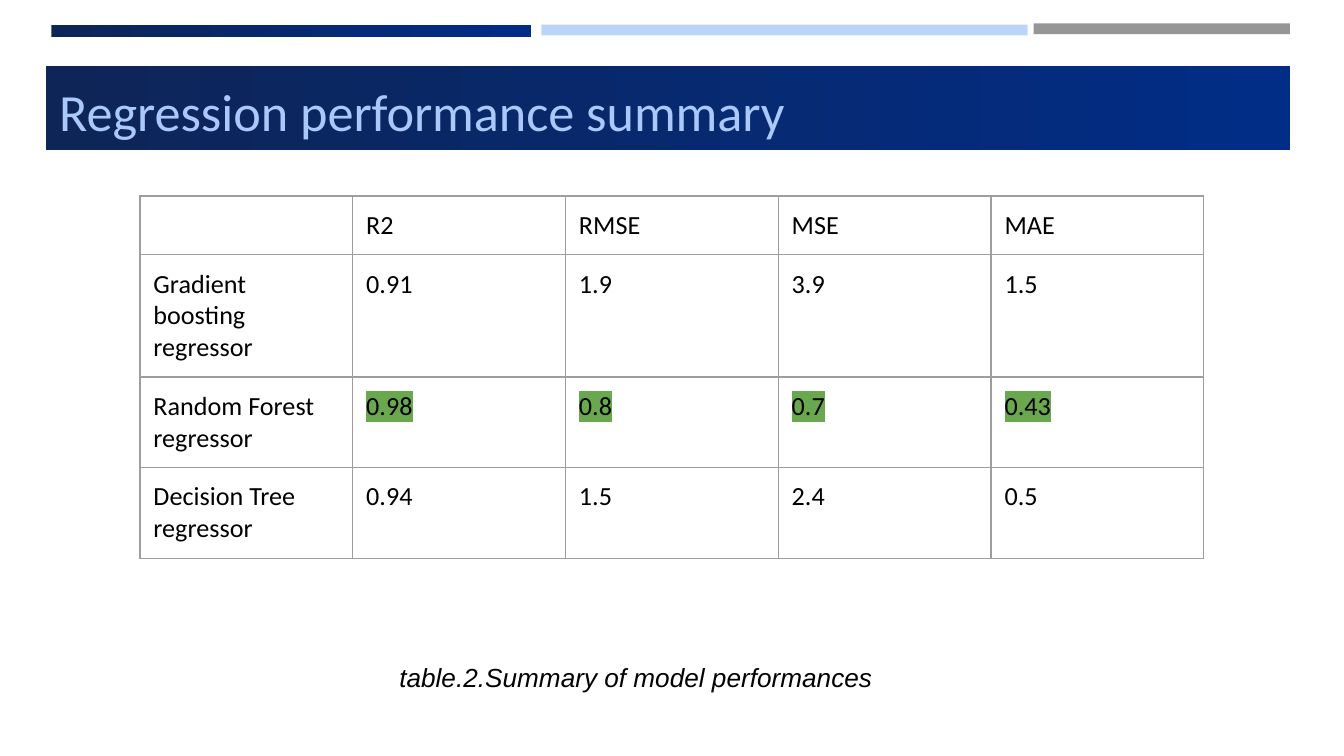
from lxml import etree
from pptx import Presentation
from pptx.dml.color import RGBColor
from pptx.enum.shapes import MSO_SHAPE
from pptx.enum.text import MSO_ANCHOR, MSO_AUTO_SIZE, PP_ALIGN
from pptx.oxml.ns import qn
from pptx.util import Pt

RECT = MSO_SHAPE.RECTANGLE
TOP = MSO_ANCHOR.TOP
NO_FIT = MSO_AUTO_SIZE.NONE
LEFT, CENTER = PP_ALIGN.LEFT, PP_ALIGN.CENTER

TITLE = "Regression performance summary"
CAPTION = "table.2.Summary of model performances"
SCORES = [
    ["", "R2", "RMSE", "MSE", "MAE"],
    ["Gradient boosting regressor", "0.91", "1.9", "3.9", "1.5"],
    ["Random Forest regressor", "0.98", "0.8", "0.7", "0.43"],
    ["Decision Tree regressor", "0.94", "1.5", "2.4", "0.5"],
]
BEST_ROW = 2
NAVY = ("0E2557", "012D86")
BARS = [
    ((27.5, 13.25, 257, 6.5), NAVY, 100),
    ((290, 13.25, 260.5, 5.75), "8EB6F8", 58),
    ((553.75, 12.5, 137.25, 5.75), "595959", 63),
]
TITLE_BOX = (24.5, 35.25, 666.75, 45)
TABLE_BOX = (75, 105, 570, 121)
CAPTION_BOX = (196.75, 347, 288, 31.5)
PAD = 7.2
TITLE_FONT = dict(name="Calibri", size=Pt(28), bold=False)
CELL_FONT = dict(name="Calibri", size=Pt(14), bold=False)
CAPTION_FONT = dict(name="Arial", size=Pt(14), italic=True)
FRAME = dict(word_wrap=True, auto_size=NO_FIT, vertical_anchor=TOP)
MARGINS = {f"margin_{side}": Pt(PAD) for side in ("left", "right", "top", "bottom")}


def rgb(value):
    return RGBColor.from_string(value)


def apply(target, values):
    for name, value in values.items():
        setattr(target, name, value)


def place(shape, box):
    apply(shape, dict(zip(("left", "top", "width", "height"), map(Pt, box))))


def paint(shape, color, opacity=100):
    if isinstance(color, tuple):
        shape.fill.gradient()
        shape.fill.gradient_angle = 0
        for stop, value in zip(shape.fill.gradient_stops, color):
            stop.color.rgb = rgb(value)
    else:
        shape.fill.solid()
        shape.fill.fore_color.rgb = rgb(color)
    if opacity < 100:
        tint = shape.fill._xPr.find(".//" + qn("a:srgbClr"))
        etree.SubElement(tint, qn("a:alpha"), val=str(opacity * 1000))
    shape.line.fill.background()
    shape.shadow.inherit = False


def write(tf, text, font, color, align=LEFT):
    p = tf.paragraphs[0]
    p.alignment = align
    if not text:
        p._p.get_or_add_endParaRPr().set("sz", str(int(font["size"].pt * 100)))
        return None
    r = p.add_run()
    r.text = text
    apply(r.font, font)
    r.font.color.rgb = rgb(color)
    return r


def highlight(r, color):
    mark = etree.Element(qn("a:highlight"))
    etree.SubElement(mark, qn("a:srgbClr"), val=color)
    r._r.rPr.find(qn("a:latin")).addprevious(mark)


def add_borders(cell, color, width):
    tc_pr = cell._tc.get_or_add_tcPr()
    for i, side in enumerate(("lnL", "lnR", "lnT", "lnB")):
        ln = etree.Element(qn("a:" + side), w=str(Pt(width)))
        fill = etree.SubElement(ln, qn("a:solidFill"))
        etree.SubElement(fill, qn("a:srgbClr"), val=color)
        tc_pr.insert(i, ln)


def add_scores(s):
    rows, cols = len(SCORES), len(SCORES[0])
    table = s.shapes.add_table(rows, cols, *map(Pt, TABLE_BOX)).table
    apply(table, dict(first_row=False, horz_banding=False))
    for i, row in enumerate(SCORES):
        for j, text in enumerate(row):
            cell = table.cell(i, j)
            apply(cell, MARGINS)
            cell.fill.background()
            add_borders(cell, "9E9E9E", 0.75)
            r = write(cell.text_frame, text, CELL_FONT, "000000")
            if i == BEST_ROW and j > 0:
                highlight(r, "6AA84F")


def main():
    prs = Presentation()
    prs.slide_width, prs.slide_height = Pt(720), Pt(405)
    s = prs.slides.add_slide(prs.slide_layouts[5])

    title = s.shapes.title
    place(title, TITLE_BOX)
    paint(title, NAVY)
    apply(title.text_frame, FRAME | MARGINS)
    write(title.text_frame, TITLE, TITLE_FONT, "AAC8FA")

    add_scores(s)

    caption = s.shapes.add_textbox(*map(Pt, CAPTION_BOX))
    apply(caption.text_frame, FRAME | MARGINS)
    write(caption.text_frame, CAPTION, CAPTION_FONT, "000000", CENTER)

    for box, color, opacity in BARS:
        paint(s.shapes.add_shape(RECT, *map(Pt, box)), color, opacity)

    prs.save("out.pptx")


if __name__ == "__main__":
    main()
